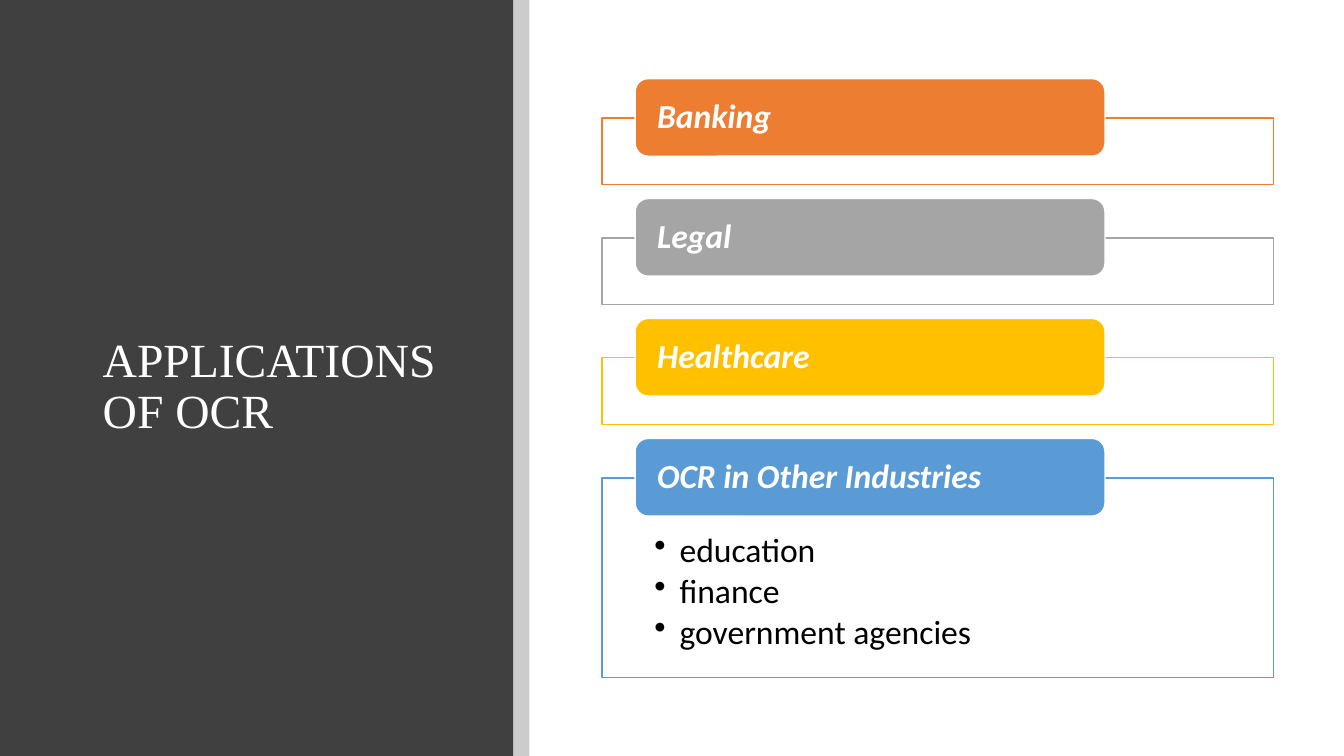
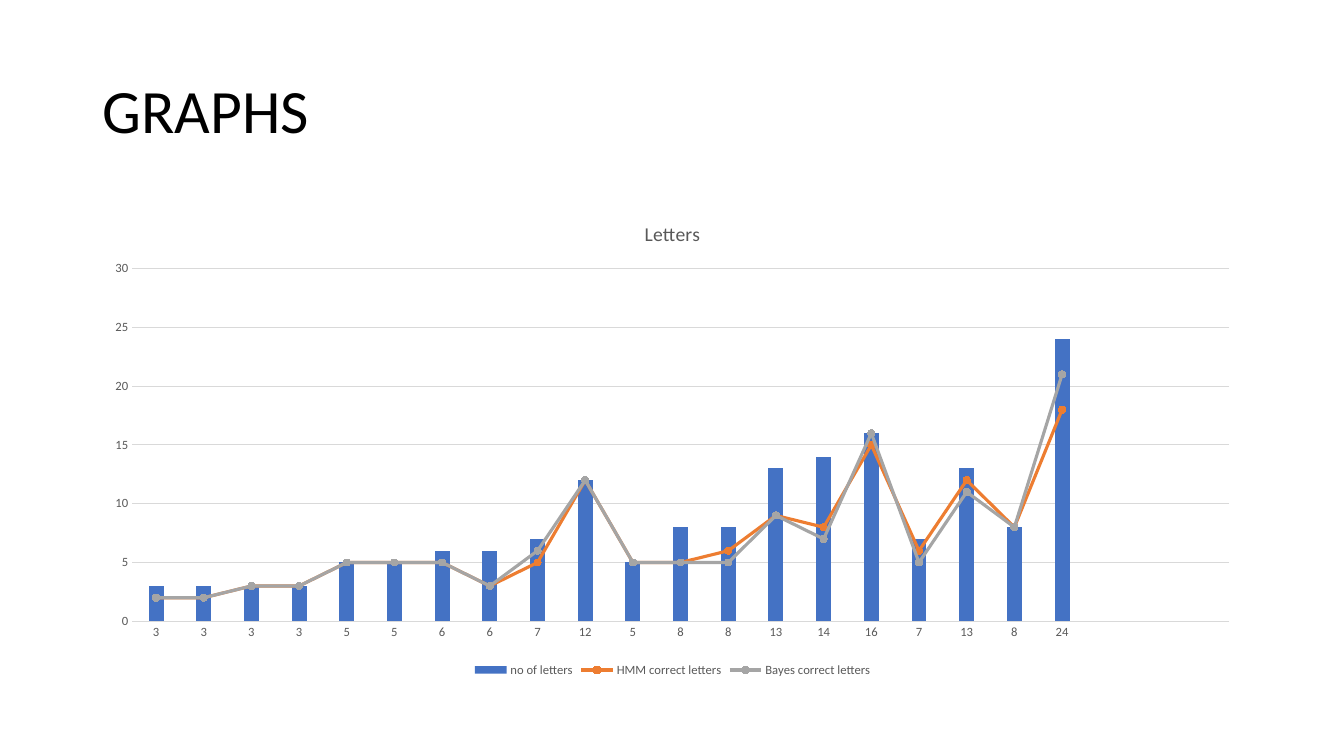
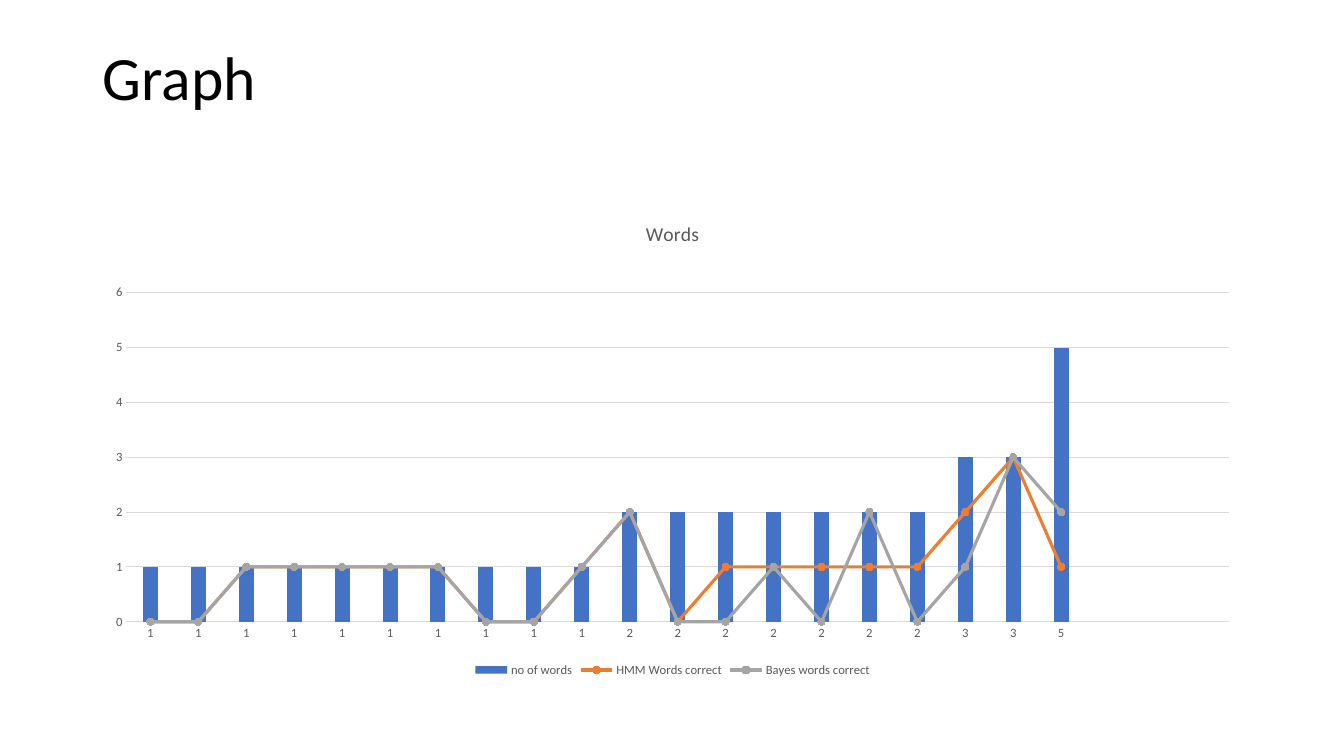
import pptx
import pptx.chart.data
import pptx.dml.color
import pptx.enum.chart
import pptx.enum.shapes
import pptx.enum.text
import pptx.oxml
import pptx.oxml.ns
import pptx.util
from lxml import etree

Inches, Pt = pptx.util.Inches, pptx.util.Pt
RGB = pptx.dml.color.RGBColor
qn = pptx.oxml.ns.qn
SHAPE = pptx.enum.shapes.MSO_SHAPE
ANCHOR = pptx.enum.text.MSO_ANCHOR
CHART = pptx.enum.chart

# Shared colours, fonts and grid
WHITE, BLACK = RGB(255, 255, 255), RGB(0, 0, 0)
CHARCOAL, LABEL_GREY, RULE_GREY = RGB(0x40, 0x40, 0x40), RGB(0x59, 0x59, 0x59), RGB(0xD9, 0xD9, 0xD9)
ORANGE, GREY, GOLD = RGB(0xED, 0x7D, 0x31), RGB(0xA5, 0xA5, 0xA5), RGB(0xFF, 0xC0, 0x00)
SKY, BLUE = RGB(0x5B, 0x9B, 0xD5), RGB(0x44, 0x72, 0xC4)
BODY_FONT, PANEL_FONT = "Calibri", "Times New Roman"
SLIDE_W, SLIDE_H = 13.33, 7.5
MARGIN, CONTENT_W = 0.92, 11.5
PANEL_W, DIVIDER_W = 5.09, 0.16
TITLE_BOX = (MARGIN, 0.4, CONTENT_W, 1.45)
CHART_BOX = (MARGIN, 2, CONTENT_W, 4.76)
TITLE_INSETS = (0.1, 0.05, 0.1, 0.05)

# Content
PANEL_TITLE = "APPLICATIONS OF OCR"
INDUSTRIES = [
    ("Banking", ORANGE, []),
    ("Legal", GREY, []),
    ("Healthcare", GOLD, []),
    ("OCR in Other Industries", SKY, ["education", "finance", "government agencies"]),
]
EMPTY_SLOTS = 3
GRAPHS = [
    dict(
        heading="GRAPHS", lower_inset=0.05, caption="Letters", top=30, step=5,
        plot=(0.034, 0.14, 0.946, 0.735),
        counts=("no of letters",
                [3, 3, 3, 3, 5, 5, 6, 6, 7, 12, 5, 8, 8, 13, 14, 16, 7, 13, 8, 24]),
        correct=[
            ("HMM correct letters",
             [2, 2, 3, 3, 5, 5, 5, 3, 5, 12, 5, 5, 6, 9, 8, 15, 6, 12, 8, 18]),
            ("Bayes correct letters",
             [2, 2, 3, 3, 5, 5, 5, 3, 6, 12, 5, 5, 5, 9, 7, 16, 5, 11, 8, 21]),
        ],
    ),
    dict(
        heading="Graph", lower_inset=0.71, caption="Words", top=6, step=1,
        plot=(0.029, 0.19, 0.951, 0.686),
        counts=("no of words",
                [1, 1, 1, 1, 1, 1, 1, 1, 1, 1, 2, 2, 2, 2, 2, 2, 2, 3, 3, 5]),
        correct=[
            ("HMM Words correct",
             [0, 0, 1, 1, 1, 1, 1, 0, 0, 1, 2, 0, 1, 1, 1, 1, 1, 2, 3, 1]),
            ("Bayes words correct",
             [0, 0, 1, 1, 1, 1, 1, 0, 0, 1, 2, 0, 0, 1, 0, 2, 0, 1, 3, 2]),
        ],
    ),
]


def style_font(font, size, color, name=BODY_FONT, bold=False, italic=False):
    font.size, font.name, font.bold, font.italic = Pt(size), name, bold, italic
    font.color.rgb = color


def write_text(shape, lines, insets=TITLE_INSETS, anchor=ANCHOR.MIDDLE, after=0,
               bullet=False, **font):
    frame = shape.text_frame
    frame.word_wrap = True
    frame.vertical_anchor = anchor
    (frame.margin_left, frame.margin_top,
     frame.margin_right, frame.margin_bottom) = map(Inches, insets)
    frame.text = "\n".join(lines)
    for paragraph in frame.paragraphs:
        paragraph.alignment = pptx.enum.text.PP_ALIGN.LEFT
        paragraph.line_spacing = 0.9
        paragraph.space_after = Pt(after)
        style_font(paragraph.runs[0].font, **font)
        if bullet:
            props = paragraph.runs[0]._r.getparent().get_or_add_pPr()
            props.set("marL", str(Inches(0.25)))
            props.set("indent", str(-Inches(0.25)))
            etree.SubElement(props, qn("a:buChar"), char="•")


def add_block(slide, box, fill, outline=None, kind=SHAPE.RECTANGLE, opacity=100):
    block = slide.shapes.add_shape(kind, *map(Inches, box))
    block.shadow.inherit = False
    block.fill.solid()
    block.fill.fore_color.rgb = fill
    if opacity < 100:
        color = block.fill._xPr.find(qn("a:solidFill"))[0]
        etree.SubElement(color, qn("a:alpha"), val=str(opacity * 1000))
    if outline is None:
        block.line.fill.background()
    else:
        block.line.color.rgb = outline
        block.line.width = Pt(1)
    return block


def add_title(slide, text, box=TITLE_BOX, **style):
    write_text(slide.shapes.add_textbox(*map(Inches, box)), [text], **style)


def add_industries(slide):
    frame_x, frame_w, frame_top, pitch = 5.97, 6.66, 1.17, 1.19
    pill_x, pill_w, pill_h, pill_rise = 6.3, 4.66, 0.77, 0.39
    for row, (name, color, examples) in enumerate(INDUSTRIES):
        y = frame_top + row * pitch
        frame = add_block(slide, (frame_x, y, frame_w, 1.98 if examples else 0.66),
                          WHITE, color, opacity=90)
        if examples:
            write_text(frame, examples, insets=(0.52, 0.55, 0.52, 0.19),
                       anchor=ANCHOR.TOP, after=3.5, bullet=True, size=24, color=BLACK)
        pill = add_block(slide, (pill_x, y - pill_rise, pill_w, pill_h), color, WHITE,
                         SHAPE.ROUNDED_RECTANGLE)
        write_text(pill, [name], insets=(0.18, 0, 0.18, 0), size=24, color=WHITE,
                   bold=True, italic=True)


def move_to_lines(chart):
    """Turn every series after the first into a line on the same axes."""
    bars = chart._chartSpace.find(".//" + qn("c:barChart"))
    lines = pptx.oxml.parse_xml(
        '<c:lineChart xmlns:c="http://schemas.openxmlformats.org/drawingml/2006/chart">'
        '<c:grouping val="standard"/><c:varyColors val="0"/></c:lineChart>')
    for series in bars.findall(qn("c:ser"))[1:]:
        for flag in series.findall(qn("c:invertIfNegative")):
            series.remove(flag)
        lines.append(series)
    etree.SubElement(lines, qn("c:marker"), val="1")
    for axis in bars.findall(qn("c:axId")):
        etree.SubElement(lines, qn("c:axId"), val=axis.get("val"))
    bars.addnext(lines)


def place_plot(chart, shares):
    area = chart._chartSpace.find(".//" + qn("c:plotArea"))
    for old in area.findall(qn("c:layout")):
        area.remove(old)
    layout = etree.Element(qn("c:layout"))
    manual = etree.SubElement(layout, qn("c:manualLayout"))
    settings = [("layoutTarget", "inner"), ("xMode", "edge"), ("yMode", "edge")]
    for tag, value in settings + list(zip("xywh", shares)):
        etree.SubElement(manual, qn("c:" + tag), val=str(value))
    area.insert(0, layout)


def add_graph(slide, graph):
    data = pptx.chart.data.CategoryChartData()
    data.categories = [str(n) for n in graph["counts"][1]] + [""] * EMPTY_SLOTS
    for name, values in [graph["counts"]] + graph["correct"]:
        data.add_series(name, values + [None] * EMPTY_SLOTS)
    chart = slide.shapes.add_chart(CHART.XL_CHART_TYPE.COLUMN_CLUSTERED,
                                   *map(Inches, CHART_BOX), data).chart
    move_to_lines(chart)
    place_plot(chart, graph["plot"])
    style_font(chart.font, 10, BLACK)

    # Caption and legend
    chart.has_title = True
    chart.chart_title.text_frame.text = graph["caption"]
    style_font(chart.chart_title.text_frame.paragraphs[0].runs[0].font, 14, LABEL_GREY)
    chart.chart_title.include_in_layout = False
    chart.has_legend = True
    chart.legend.position = CHART.XL_LEGEND_POSITION.BOTTOM
    chart.legend.include_in_layout = False
    style_font(chart.legend.font, 9, LABEL_GREY)

    # Axes
    scale = chart.value_axis
    scale.minimum_scale, scale.maximum_scale, scale.major_unit = 0, graph["top"], graph["step"]
    scale.has_major_gridlines = True
    for axis in (chart.category_axis, scale):
        axis.major_tick_mark = axis.minor_tick_mark = CHART.XL_TICK_MARK.NONE
        style_font(axis.tick_labels.font, 9, LABEL_GREY)
    for rule in (chart.category_axis.format.line, scale.major_gridlines.format.line):
        rule.color.rgb = RULE_GREY
        rule.width = Pt(0.75)
    scale.format.line.fill.background()

    # Columns and lines
    columns, lines = chart.plots
    columns.gap_width = 219
    columns.vary_by_categories = False
    counts = columns.series[0]
    counts.invert_if_negative = False
    counts.format.fill.solid()
    counts.format.fill.fore_color.rgb = BLUE
    for series, color in zip(lines.series, (ORANGE, GREY)):
        series.smooth = False
        series.format.line.color.rgb = color
        series.format.line.width = Pt(2.25)
        series.marker.style = CHART.XL_MARKER_STYLE.CIRCLE
        series.marker.size = 5
        series.marker.format.fill.solid()
        series.marker.format.fill.fore_color.rgb = color
        series.marker.format.line.color.rgb = color


def main():
    deck = pptx.Presentation()
    deck.slide_width, deck.slide_height = Inches(SLIDE_W), Inches(SLIDE_H)
    blank = deck.slide_layouts[6]

    # Applications
    slide = deck.slides.add_slide(blank)
    add_block(slide, (0, 0, PANEL_W, SLIDE_H), CHARCOAL)
    add_title(slide, PANEL_TITLE, box=(MARGIN, 0.89, 3.65, 5.91), size=34, color=WHITE,
              name=PANEL_FONT)
    add_block(slide, (PANEL_W, 0, DIVIDER_W, SLIDE_H), BLACK, opacity=20)
    add_industries(slide)

    # Graphs
    for graph in GRAPHS:
        slide = deck.slides.add_slide(blank)
        add_title(slide, graph["heading"], size=44, color=BLACK,
                  insets=TITLE_INSETS[:3] + (graph["lower_inset"],))
        add_graph(slide, graph)

    deck.save("out.pptx")


if __name__ == "__main__":
    main()
